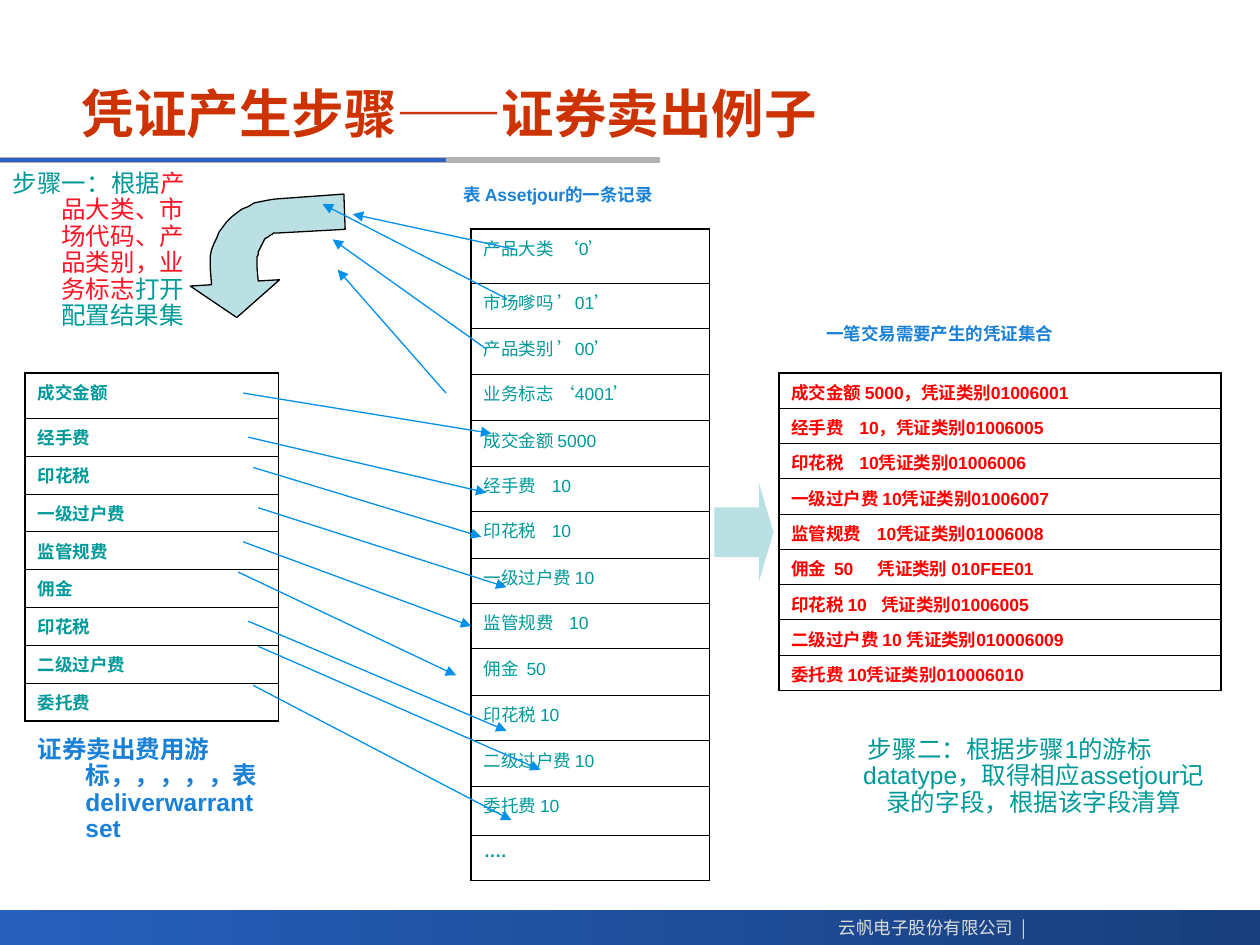
from lxml import etree
from pptx import Presentation
from pptx.dml.color import RGBColor
from pptx.enum.shapes import MSO_CONNECTOR, MSO_SHAPE
from pptx.enum.text import MSO_ANCHOR, PP_ALIGN
from pptx.oxml.ns import qn
from pptx.util import Pt

PX = 9144  # 100 px to the inch
STRAIGHT = MSO_CONNECTOR.STRAIGHT
LEFT, CENTER, RIGHT = PP_ALIGN.LEFT, PP_ALIGN.CENTER, PP_ALIGN.RIGHT
BLACK = RGBColor(0x00, 0x00, 0x00)
GREY = RGBColor(0xB2, 0xB2, 0xB2)
FOOTER_TEXT = RGBColor(0xDD, 0xDD, 0xDD)
NAVY = RGBColor(0x19, 0x3F, 0x7C)
BLUE = RGBColor(0x26, 0x5F, 0xBC)
RULE_BLUE = RGBColor(0x2A, 0x60, 0xC0)
LABEL_BLUE = RGBColor(0x1A, 0x81, 0xD6)
ARROW_BLUE = RGBColor(0x02, 0x90, 0xE8)
PALE_TEAL = RGBColor(0xBB, 0xE0, 0xE3)
TEAL = RGBColor(0x00, 0x99, 0x99)
RED = RGBColor(0xFF, 0x00, 0x00)
KEY_RED = RGBColor(0xFA, 0x16, 0x26)
TITLE_RED = RGBColor(0xCC, 0x33, 0x00)

prs = Presentation()
prs.slide_width, prs.slide_height = 1000 * PX, 750 * PX
slide = prs.slides.add_slide(prs.slide_layouts[5])
shapes = slide.shapes


def add_line(x1, y1, x2, y2, color, width, arrow=False):
    line = shapes.add_connector(STRAIGHT, x1 * PX, y1 * PX, x2 * PX, y2 * PX)
    line.line.color.rgb = color
    line.line.width = Pt(width)
    if arrow:
        etree.SubElement(line.line._get_or_add_ln(), qn("a:tailEnd"), type="triangle")
    etree.SubElement(line._element.spPr, qn("a:effectLst"))


def write(frame, runs, size, bold=False, align=LEFT):
    """Fill a frame with one hanging paragraph of (text, colour) runs."""
    frame.word_wrap = True
    frame.vertical_anchor = MSO_ANCHOR.TOP
    paragraph = frame.paragraphs[0]
    paragraph.alignment = align
    paragraph.line_spacing = 0.9
    properties = paragraph._p.get_or_add_pPr()
    properties.set("marL", str(38 * PX))
    properties.set("indent", str(-38 * PX))
    paragraph.font.name = "Arial"
    paragraph.font.size = Pt(size)
    paragraph.font.bold = bold
    for text, color in runs:
        run = paragraph.add_run()
        run.text = text
        run.font.color.rgb = color


# Footer band
band = shapes.add_shape(MSO_SHAPE.RECTANGLE, 0, 722 * PX, 1000 * PX, 28 * PX)
band.shadow.inherit = False
band.line.fill.background()
band.fill.gradient()
band.fill.gradient_angle = 0
for stop, color in zip(band.fill.gradient_stops, (BLUE, NAVY)):
    stop.color.rgb = color
company = shapes.add_textbox(653 * PX, 723 * PX, 171 * PX, 27 * PX).text_frame
company.word_wrap = False
owner = company.paragraphs[0]
owner.text = "云帆电子股份有限公司  |"
owner.alignment = RIGHT
owner.font.name = "Noto Sans CJK SC"
owner.font.size = Pt(10)
owner.font.color.rgb = FOOTER_TEXT

# Title and its rule
title = shapes.title
title.left, title.top, title.width, title.height = 55 * PX, 56 * PX, 692 * PX, 67 * PX
title.text_frame.vertical_anchor = MSO_ANCHOR.MIDDLE
heading = title.text_frame.paragraphs[0]
heading.text = "凭证产生步骤——证券卖出例子"
heading.alignment = LEFT
heading.font.name = "Arial"
heading.font.size = Pt(30)
heading.font.bold = True
heading.font.color.rgb = TITLE_RED
add_line(0, 127, 524, 127, GREY, 3)
add_line(0, 127, 354, 127, RULE_BLUE, 2.25)

# Tables: left, top, width, row heights, colour, bold, rows
journal = ["产品大类  ‘0’", "市场嗲吗 ’01’", "产品类别 ’00’", "业务标志 ‘4001’",
           "成交金额 5000", "经手费    10", "印花税    10", "一级过户费 10",
           "监管规费    10", "佣金  50", "印花税 10", "二级过户费 10", "委托费 10", "…."]
fees = ["成交金额", "经手费", "印花税", "一级过户费", "监管规费", "佣金", "印花税",
        "二级过户费", "委托费"]
vouchers = ["成交金额 5000，凭证类别01006001", "经手费    10，凭证类别01006005",
            "印花税    10凭证类别01006006", "一级过户费 10凭证类别01006007",
            "监管规费    10凭证类别01006008", "佣金  50     凭证类别 010FEE01",
            "印花税 10   凭证类别01006005", "二级过户费 10 凭证类别010006009",
            "委托费 10凭证类别010006010"]
journal_heights = [43, 36, 36, 37, 36, 36, 37, 36, 36, 37, 36, 36, 39, 36]
for left, top, width, heights, color, bold, rows in (
    (374, 182, 189, journal_heights, TEAL, False, journal),
    (20, 296, 201, [36] + [30] * 8, TEAL, True, fees),
    (618, 296, 351, [28] * 9, RED, True, vouchers),
):
    table = shapes.add_table(len(rows), 1, left * PX, top * PX, width * PX,
                             sum(heights) * PX).table
    table.first_row = table.horz_banding = False
    last = len(rows) - 1
    for i, text in enumerate(rows):
        table.rows[i].height = heights[i] * PX
        cell = table.cell(i, 0)
        cell.fill.background()
        entry = cell.text_frame.paragraphs[0]
        entry.text = text
        entry.font.name = "Arial"
        entry.font.size = Pt(10)
        entry.font.bold = bold or text == "…."
        entry.font.color.rgb = color
        borders = (("a:lnL", 1.08), ("a:lnR", 1.08), ("a:lnT", 1.08 if i == 0 else 0.45),
                   ("a:lnB", 1.08 if i == last else 0.45))
        for position, (side, weight) in enumerate(borders):
            border = etree.Element(qn(side), w=str(Pt(weight)))
            fill = etree.SubElement(border, qn("a:solidFill"))
            etree.SubElement(fill, qn("a:srgbClr"), val=str(BLACK))
            cell._tc.get_or_add_tcPr().insert(position, border)

# Bent arrow to the fee cursor: single points are lines, triples are Bezier curves
bend = [[(218, 158)], [(188, 160), (165, 185), (167, 214)], [(168, 226)], [(151, 227)],
        [(188, 252)], [(222, 222)], [(205, 223)], [(204, 212)],
        [(203, 198), (210, 186), (219, 185)], [(274, 182)]]
outline = [(273, 154)]
for step in bend:
    if len(step) == 1:
        outline += step
        continue
    start, (a, b, end) = outline[-1], step
    for t in (k / 16 for k in range(1, 17)):
        outline.append(tuple(
            (1 - t) ** 3 * p0 + 3 * t * (1 - t) ** 2 * p1 + 3 * t * t * (1 - t) * p2 + t ** 3 * p3
            for p0, p1, p2, p3 in zip(start, a, b, end)))
builder = shapes.build_freeform(*outline[0], scale=PX)
builder.add_line_segments(outline[1:], close=True)
bent_arrow = builder.convert_to_shape()
bent_arrow.shadow.inherit = False
bent_arrow.fill.solid()
bent_arrow.fill.fore_color.rgb = PALE_TEAL
bent_arrow.line.color.rgb = BLACK
bent_arrow.line.width = Pt(0.75)

# Arrow to the vouchers
voucher_arrow = shapes.add_shape(MSO_SHAPE.RIGHT_ARROW, 567 * PX, 383 * PX, 47 * PX, 79 * PX)
voucher_arrow.adjustments[0], voucher_arrow.adjustments[1] = 0.5, 0.25
voucher_arrow.shadow.inherit = False
voucher_arrow.fill.solid()
voucher_arrow.fill.fore_color.rgb = PALE_TEAL
voucher_arrow.line.fill.background()

# Links from fees to journal fields, then from journal keys to the bent arrow
for ends in (
    (193, 312, 390, 344), (197, 347, 386, 391), (201, 371, 382, 426),
    (205, 403, 402, 466), (193, 430, 374, 497), (189, 454, 362, 536),
    (197, 493, 402, 580), (205, 513, 429, 611), (201, 544, 406, 651),
    (354, 312, 268, 214), (386, 277, 264, 190), (402, 237, 256, 162), (409, 198, 280, 170),
):
    add_line(*ends, ARROW_BLUE, 0.75, arrow=True)

# Table captions
for left, top, height, size, text in (
    (20, 580, 94, 14, "证券卖出费用游标，，，，，表deliverwarrantset"),
    (358, 143, 25, 10, "表 Assetjour的一条记录"),
    (646, 253, 25, 10, "一笔交易需要产生的凭证集合"),
):
    caption = shapes.add_textbox(left * PX, top * PX, 201 * PX, height * PX)
    write(caption.text_frame, [(text, LABEL_BLUE)], size, bold=True)

# Step callouts
step_one = [("步骤一：根据", TEAL), ("产品大类、市场代码、产品类别，业务标志", KEY_RED),
            ("打开配置结果集", TEAL)]
step_two = [("步骤二：根据步骤1的游标datatype，取得相应assetjour记录的字段，根据该字段清算", TEAL)]
for left, top, width, pointer, runs in (
    (0, 131, 157, (1.0, -0.17), step_one),
    (634, 580, 335, (-1.62, -0.55), step_two),
):
    callout = shapes.add_shape(MSO_SHAPE.RECTANGULAR_CALLOUT, left * PX, top * PX,
                               width * PX, 134 * PX)
    callout.adjustments[0], callout.adjustments[1] = pointer
    callout.shadow.inherit = False
    callout.fill.background()
    callout.line.fill.background()
    write(callout.text_frame, runs, 14, align=CENTER)

prs.save("out.pptx")
